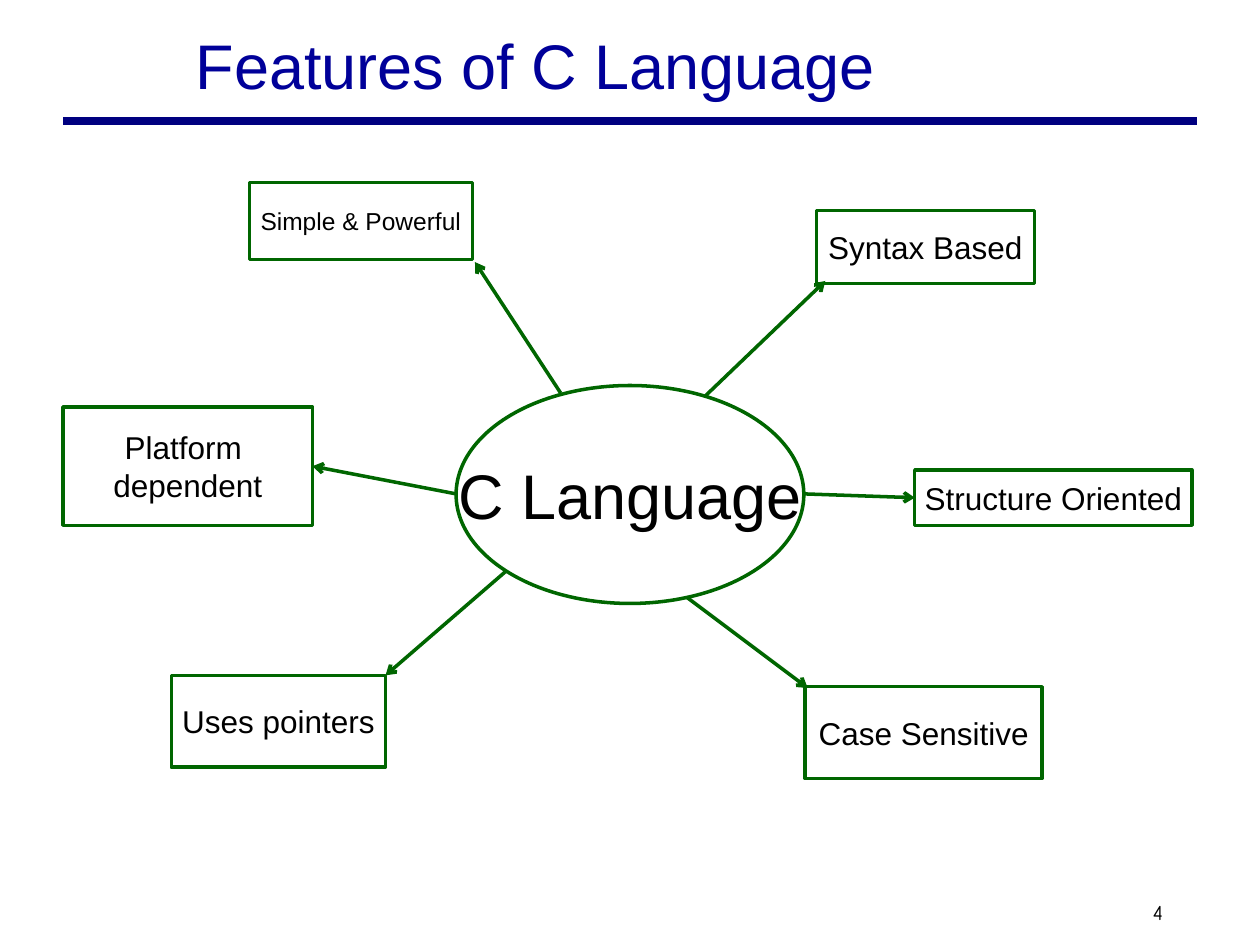
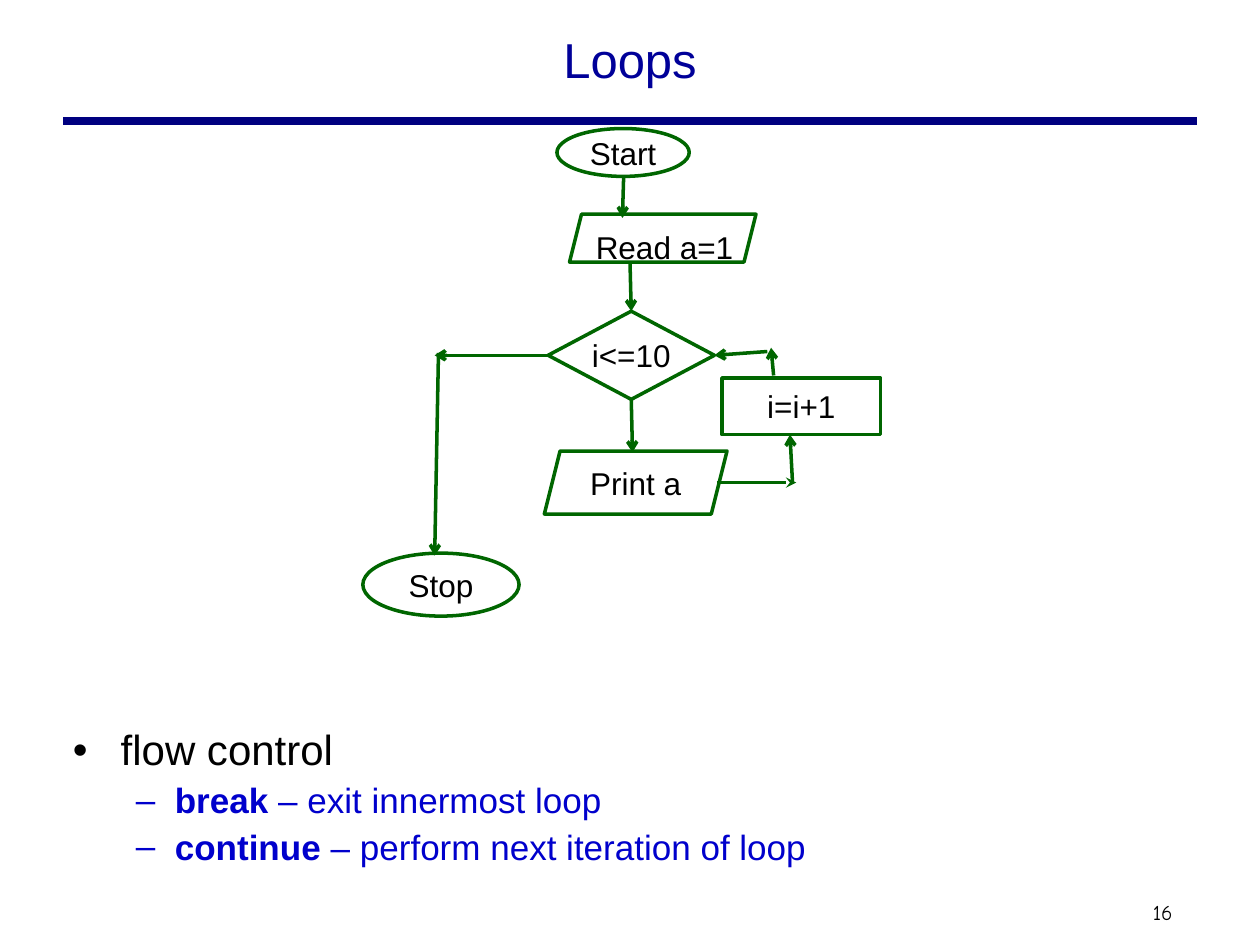
from lxml import etree
from pptx import Presentation
from pptx import util as u
from pptx.dml.color import RGBColor
from pptx.enum import shapes, text
from pptx.oxml.ns import qn

# Grid of square cells over the whole slide
COLS, ROWS = 100, 75
CELL = u.Inches(0.1)

COLORS = {
    "text": "000000",
    "title": "000099",
    "rule": "000080",
    "diagram": "006600",
    "keyword": "0000CC",
}
FONT, NUMBER_FONT = "Arial", "Comic Neue"
LINE_WIDTH = 2
TOP, LEFT, BOTTOM, RIGHT = range(4)

MSO = shapes.MSO_SHAPE
MIDDLE = text.MSO_ANCHOR.MIDDLE
CENTER = text.PP_ALIGN.CENTER


def cells(*counts):
    return [u.Emu(round(n * CELL)) for n in counts]


def color(name):
    return RGBColor.from_string(COLORS[name])


def add_run(p, words, size, ink="text", font=FONT, bold=False):
    r = p.add_run()
    r.text = words
    r.font.name, r.font.size, r.font.bold = font, u.Pt(size), bold
    r.font.color.rgb = color(ink)


def fill_lines(tf, lines, size, align=CENTER, **style):
    for i, line in enumerate(lines):
        p = tf.paragraphs[0] if i == 0 else tf.add_paragraph()
        p.alignment = align
        add_run(p, line, size, **style)


def add_label(slide, box, words, size, align=CENTER, anchor=MIDDLE,
              wrap=True, **style):
    tf = slide.shapes.add_textbox(*cells(*box)).text_frame
    tf.word_wrap, tf.vertical_anchor = wrap, anchor
    fill_lines(tf, [words], size, align, **style)
    return tf


def add_node(slide, kind, box, lines=(), size=18):
    """Outlined shape with centred text."""
    sp = slide.shapes.add_shape(kind, *cells(*box))
    sp.shadow.inherit = False
    sp.fill.background()
    sp.line.color.rgb = color("diagram")
    sp.line.width = u.Pt(LINE_WIDTH)
    tf = sp.text_frame
    tf.word_wrap, tf.vertical_anchor = False, MIDDLE
    fill_lines(tf, lines, size)
    return sp


def add_line(slide, start, end, ink, width):
    line = slide.shapes.add_connector(shapes.MSO_CONNECTOR.STRAIGHT,
                                      *cells(*start, *end))
    line.line.color.rgb = color(ink)
    line.line.width = u.Pt(width)
    etree.SubElement(line._element.spPr, qn("a:effectLst"))
    return line


def add_arrow(slide, start, end, source=None, target=None, head="arrow"):
    """Arrow between grid points; source and target are (shape, side) joins."""
    arrow = add_line(slide, start, end, "diagram", LINE_WIDTH)
    if source:
        arrow.begin_connect(*source)
    if target:
        arrow.end_connect(*target)
    ln = arrow.line._get_or_add_ln()
    etree.SubElement(ln, qn("a:tailEnd"), type=head)


def add_bullet(p, char, ink, indent, hang, level=0):
    p.level = level
    p.line_spacing = 0.9
    pPr = p._p.get_or_add_pPr()
    pPr.set("marL", str(u.Inches(indent)))
    pPr.set("indent", str(-u.Inches(hang)))
    bu_color = etree.SubElement(pPr, qn("a:buClr"))
    etree.SubElement(bu_color, qn("a:srgbClr"), val=COLORS[ink])
    etree.SubElement(pPr, qn("a:buFont"), typeface=FONT)
    etree.SubElement(pPr, qn("a:buChar"), char=char)


def add_page(prs, title, title_box, title_size, number):
    """Blank slide with the shared title, rule and page number."""
    slide = prs.slides.add_slide(prs.slide_layouts[6])
    add_line(slide, (5, 9.6), (COLS - 5, 9.6), "rule", 4.5)
    tf = add_label(slide, (91, 70.9, 4.7, 3), number, 12,
                   align=text.PP_ALIGN.LEFT, font=NUMBER_FONT)
    tf.margin_left = tf.margin_right = u.Inches(0.05)
    add_label(slide, title_box, title, title_size, ink="title")
    return slide


def features_slide(prs):
    slide = add_page(prs, "Features of C Language", (0, 0.8, 85, 8.6), 36, "4")
    add_node(slide, MSO.OVAL, (36.2, 30.6, 27.6, 17.3), ["C Language"], 36)

    # Each feature: lines, size, box, arrow start and end, joined side
    features = [
        (["Simple & Powerful"], 14, (19.8, 14.5, 17.7, 6.1),
         (44.5, 31.2), (37.7, 20.8), None),
        (["Platform ", "dependent"], 18, (5, 32.3, 19.8, 9.4),
         (36.2, 39.2), (24.8, 37), RIGHT),
        (["Uses pointers"], 18, (13.6, 53.6, 17, 7.3),
         (40.2, 45.3), (30.6, 53.6), None),
        (["Case Sensitive"], 18, (63.9, 54.5, 18.8, 7.3),
         (54.5, 47.4), (64.1, 54.6), None),
        (["Structure Oriented"], 18, (72.6, 37.3, 22, 4.4),
         (63.8, 39.2), (72.9, 39.3), LEFT),
        (["Syntax Based"], 18, (64.8, 16.7, 17.3, 5.8),
         (55.9, 31.5), (65.5, 22.3), None),
    ]
    for lines, size, box, start, end, side in features:
        node = add_node(slide, MSO.RECTANGLE, box, lines, size)
        add_arrow(slide, start, end,
                  target=None if side is None else (node, side))


def loops_slide(prs):
    slide = add_page(prs, "Loops", (7.5, 0.4, 85, 8.6), 28, "16")

    # Flow chart shapes
    add_node(slide, MSO.OVAL, (44.2, 10.2, 10.5, 3.8), ["Start"])
    add_node(slide, MSO.PARALLELOGRAM, (45.2, 17, 14.8, 3.8))
    add_label(slide, (46.3, 17.6, 12.9, 4), "Read a=1", 18,
              align=text.PP_ALIGN.LEFT, anchor=text.MSO_ANCHOR.TOP, wrap=False)
    test = add_node(slide, MSO.FLOWCHART_DECISION, (43.5, 24.7, 13.2, 7),
                    ["i<=10"])
    add_node(slide, MSO.PARALLELOGRAM, (43.2, 35.8, 14.5, 5), ["Print a"])
    add_node(slide, MSO.RECTANGLE, (57.3, 30, 12.6, 4.5), ["i=i+1"])
    add_node(slide, MSO.OVAL, (28.8, 43.9, 12.4, 5), ["Stop"])

    # Main path down
    add_arrow(slide, (49.5, 13.9), (49.4, 17.3))
    add_arrow(slide, (50, 20.8), (50, 24.7), target=(test, TOP))
    add_arrow(slide, (50.1, 31.7), (50.2, 35.9), source=(test, BOTTOM))
    # Back through the increment
    add_arrow(slide, (56.9, 38.3), (63.2, 38.3), head="stealth")
    add_arrow(slide, (62.9, 38.3), (62.7, 34.5))
    add_arrow(slide, (61.4, 29.8), (61.2, 27.6))
    add_arrow(slide, (60.9, 27.9), (56.7, 28.2), target=(test, RIGHT))
    # Exit to the end
    add_arrow(slide, (43.5, 28.2), (34.5, 28.2), source=(test, LEFT))
    add_arrow(slide, (34.8, 28), (34.5, 44.1))

    # Flow control keywords
    tf = slide.shapes.add_textbox(*cells(4.8, 57.4, 90.3, 12.6)).text_frame
    tf.word_wrap = True
    p = tf.paragraphs[0]
    add_bullet(p, "•", "text", 0.38, 0.38)
    add_run(p, "flow control", 24)
    for keyword, meaning in [("break", "exit innermost loop"),
                             ("continue", "perform next iteration of loop")]:
        p = tf.add_paragraph()
        p.space_before = u.Pt(5)
        add_bullet(p, "–", "keyword", 0.81, 0.31, level=1)
        add_run(p, keyword, 20, "keyword", bold=True)
        add_run(p, f" – {meaning}", 20, "keyword")


def main():
    prs = Presentation()
    prs.slide_width, prs.slide_height = cells(COLS, ROWS)
    features_slide(prs)
    loops_slide(prs)
    prs.save("out.pptx")


if __name__ == "__main__":
    main()
